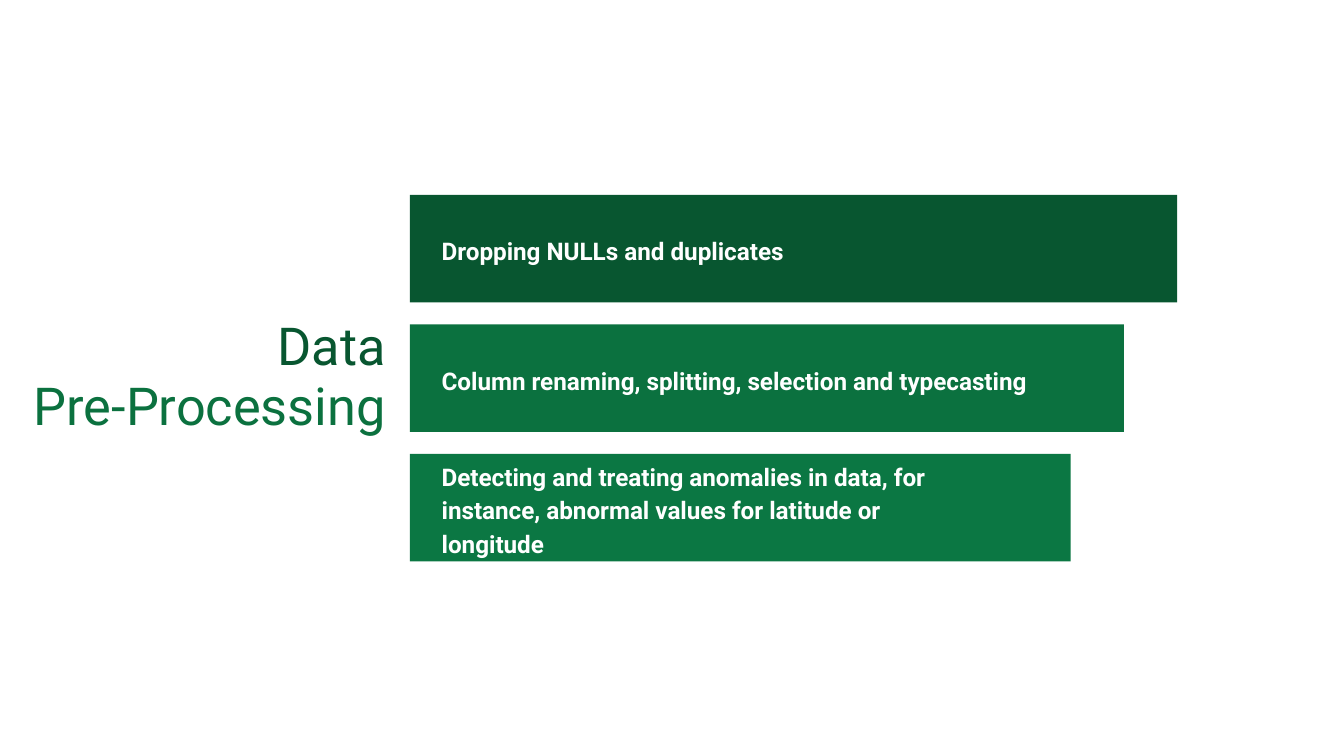
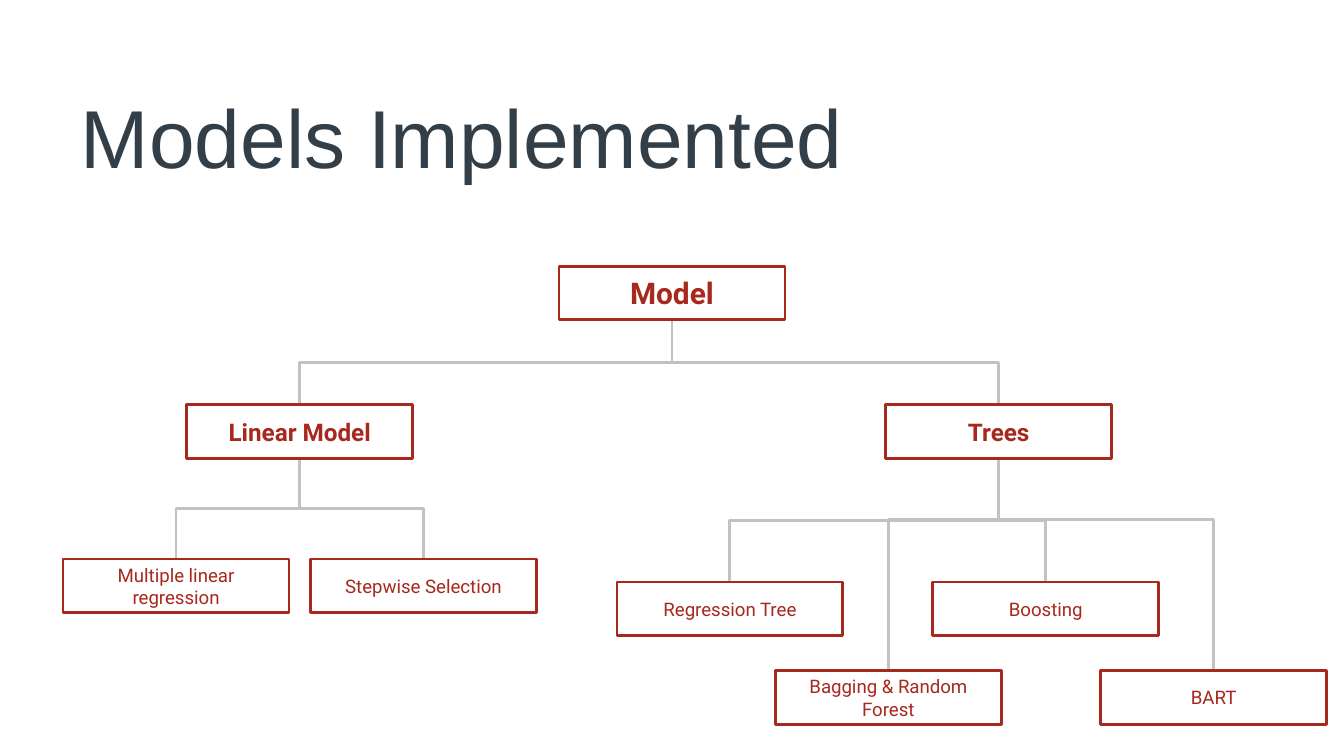
from dataclasses import dataclass
from typing import Optional

from lxml.etree import SubElement
from pptx import Presentation
from pptx.dml.color import RGBColor
from pptx.enum.shapes import MSO_CONNECTOR, MSO_SHAPE
from pptx.enum.text import MSO_ANCHOR, MSO_AUTO_SIZE, PP_ALIGN
from pptx.oxml.ns import qn
from pptx.shapes.autoshape import Shape
from pptx.slide import Slide
from pptx.util import Pt

# Shared style
COLORS = {
    "dark_green": "085630",
    "green": "0B713F",
    "light_green": "0B7743",
    "white": "FFFFFF",
    "slate": "333F48",
    "red": "A7291E",
    "gray": "C2C2C2",
}
BODY_FONT = "Roboto"
TITLE_FONT = "Arial"
LINE_WIDTH = 1.5
TITLE_ONLY_LAYOUT = 5

# Slide 1 bars
BAR_LEFT, BAR_TOP, BAR_HEIGHT, BAR_PITCH = 219.6, 104.4, 57.6, 69.4
BAR_WIDTH, BAR_WIDTH_STEP = 411, 28.5

# Slide 2 boxes
BOX_WIDTH, BOX_HEIGHT = 121, 28.8


@dataclass(frozen=True)
class TitleLine:
    text: str
    color: str


@dataclass(frozen=True)
class Bar:
    text: str
    color: str


@dataclass(frozen=True)
class ModelBox:
    text: str
    left: float
    top: float
    size: float = 10
    bold: bool = False
    parent: Optional[str] = None
    bend: float = 0.5  # share of the drop at which the connector turns


BARS = [
    Bar("Dropping NULLs and duplicates", "dark_green"),
    Bar("Column renaming, splitting, selection and typecasting", "green"),
    Bar("Detecting and treating anomalies in data, for instance, "
        "abnormal values for latitude or longitude", "light_green"),
]

MODEL_ROW, FAMILY_ROW, LINEAR_ROW = 142.6, 216.7, 299.5
TREE_ROW, LOWER_TREE_ROW = 311.8, 359.3
LOWER_BEND = 0.29
MODEL_BOXES = [
    ModelBox("Model", 299.5, MODEL_ROW, 16, True),
    ModelBox("Linear Model", 100, FAMILY_ROW, 13, True, "Model"),
    ModelBox("Trees", 474.5, FAMILY_ROW, 13, True, "Model"),
    ModelBox("Multiple linear regression", 33.8, LINEAR_ROW, parent="Linear Model"),
    ModelBox("Stepwise Selection", 166.3, LINEAR_ROW, parent="Linear Model"),
    ModelBox("Regression Tree", 330.5, TREE_ROW, parent="Trees"),
    ModelBox("Boosting", 499.7, TREE_ROW, parent="Trees"),
    ModelBox("Bagging & Random Forest", 415.4, LOWER_TREE_ROW,
             parent="Trees", bend=LOWER_BEND),
    ModelBox("BART", 589.7, LOWER_TREE_ROW, parent="Trees", bend=LOWER_BEND),
]


def color_of(name: str) -> RGBColor:
    return RGBColor.from_string(COLORS[name])


def format_paragraph(paragraph, font_name: str, size: float, color: str,
                     alignment: PP_ALIGN, bold: bool = False) -> None:
    paragraph.alignment = alignment
    for run in paragraph.runs:
        run.font.name = font_name
        run.font.size = Pt(size)
        run.font.bold = bold
        run.font.color.rgb = color_of(color)


def place_title(slide: Slide, lines: list[TitleLine], left: float, top: float,
                width: float, height: float, font_name: str, size: float,
                alignment: PP_ALIGN, spacing: float = 1.0, gap: float = 0) -> None:
    title = slide.shapes.title
    title.left, title.top = Pt(left), Pt(top)
    title.width, title.height = Pt(width), Pt(height)
    text_frame = title.text_frame
    text_frame.auto_size = MSO_AUTO_SIZE.NONE
    text_frame.vertical_anchor = MSO_ANCHOR.MIDDLE
    text_frame.text = "\n".join(line.text for line in lines)
    for index, (paragraph, line) in enumerate(zip(text_frame.paragraphs, lines)):
        format_paragraph(paragraph, font_name, size, line.color, alignment)
        paragraph.line_spacing = spacing
        paragraph.space_before = Pt(gap if index else 0)


def add_rectangle(slide: Slide, left: float, top: float, width: float,
                  height: float, text: str) -> Shape:
    shape = slide.shapes.add_shape(
        MSO_SHAPE.RECTANGLE, Pt(left), Pt(top), Pt(width), Pt(height))
    shape.shadow.inherit = False
    text_frame = shape.text_frame
    text_frame.word_wrap = True
    text_frame.vertical_anchor = MSO_ANCHOR.MIDDLE
    text_frame.text = text
    return shape


def add_bar(slide: Slide, bar: Bar, index: int) -> None:
    shape = add_rectangle(slide, BAR_LEFT, BAR_TOP + index * BAR_PITCH,
                          BAR_WIDTH - index * BAR_WIDTH_STEP, BAR_HEIGHT, bar.text)
    shape.fill.solid()
    shape.fill.fore_color.rgb = color_of(bar.color)
    shape.line.fill.background()
    text_frame = shape.text_frame
    text_frame.margin_left, text_frame.margin_right = Pt(17), Pt(48)
    text_frame.margin_top = text_frame.margin_bottom = Pt(0)
    paragraph = text_frame.paragraphs[0]
    format_paragraph(paragraph, BODY_FONT, 13, "white", PP_ALIGN.LEFT, True)
    paragraph.line_spacing = 1.15


def add_model_box(slide: Slide, box: ModelBox) -> Shape:
    shape = add_rectangle(slide, box.left, box.top, BOX_WIDTH, BOX_HEIGHT, box.text)
    shape.fill.background()
    shape.line.color.rgb = color_of("red")
    shape.line.width = Pt(LINE_WIDTH)
    text_frame = shape.text_frame
    text_frame.margin_top = text_frame.margin_bottom = Pt(7.2)
    format_paragraph(text_frame.paragraphs[0], BODY_FONT, box.size, "red",
                     PP_ALIGN.CENTER, box.bold)
    return shape


def add_branch(slide: Slide, parent: Shape, child: Shape, bend: float) -> None:
    """Join parent bottom to child top with an elbow that leaves downwards."""
    begin_x, begin_y = parent.left + parent.width // 2, parent.top + parent.height
    end_x, end_y = child.left + child.width // 2, child.top
    connector = slide.shapes.add_connector(
        MSO_CONNECTOR.ELBOW, begin_x, begin_y, end_x, end_y)
    connector.begin_connect(parent, 2)
    connector.end_connect(child, 0)
    connector.line.color.rgb = color_of("gray")
    connector.line.width = Pt(LINE_WIDTH)

    # Turn the elbow by a quarter so that its first leg is vertical
    drop, reach = end_y - begin_y, abs(end_x - begin_x)
    connector.left = (begin_x + end_x - drop) // 2
    connector.top = (begin_y + end_y - reach) // 2
    connector.width, connector.height = drop, reach
    properties = connector._element.spPr
    transform = properties.find(qn("a:xfrm"))
    transform.attrib.clear()
    if end_x > begin_x:
        transform.set("rot", "16200000")
        transform.set("flipH", "1")
    else:
        transform.set("rot", "5400000")

    # Bend position, and no shadow
    adjustments = properties.find(qn("a:prstGeom")).find(qn("a:avLst"))
    SubElement(adjustments, qn("a:gd"), name="adj1", fmla=f"val {round(bend * 100000)}")
    SubElement(properties, qn("a:effectLst"))

    # Keep branches behind the boxes
    slide.shapes._spTree.insert(2, connector._element)


def build_preprocessing_slide(slide: Slide) -> None:
    lines = [TitleLine("Data", "dark_green"), TitleLine("Pre-Processing", "green")]
    place_title(slide, lines, 0, 162, 213.8, 81.4, BODY_FONT, 28,
                PP_ALIGN.RIGHT, spacing=0.9, gap=2)
    for index, bar in enumerate(BARS):
        add_bar(slide, bar, index)


def build_models_slide(slide: Slide) -> None:
    place_title(slide, [TitleLine("Models Implemented", "slate")],
                36, 38.9, 648, 67.7, TITLE_FONT, 44, PP_ALIGN.LEFT)
    shapes = {box.text: add_model_box(slide, box) for box in MODEL_BOXES}
    for box in MODEL_BOXES:
        if box.parent:
            add_branch(slide, shapes[box.parent], shapes[box.text], box.bend)


def main() -> None:
    presentation = Presentation()
    presentation.slide_width, presentation.slide_height = Pt(720), Pt(405)
    layout = presentation.slide_layouts[TITLE_ONLY_LAYOUT]
    for build in (build_preprocessing_slide, build_models_slide):
        build(presentation.slides.add_slide(layout))
    presentation.save("out.pptx")


if __name__ == "__main__":
    main()
